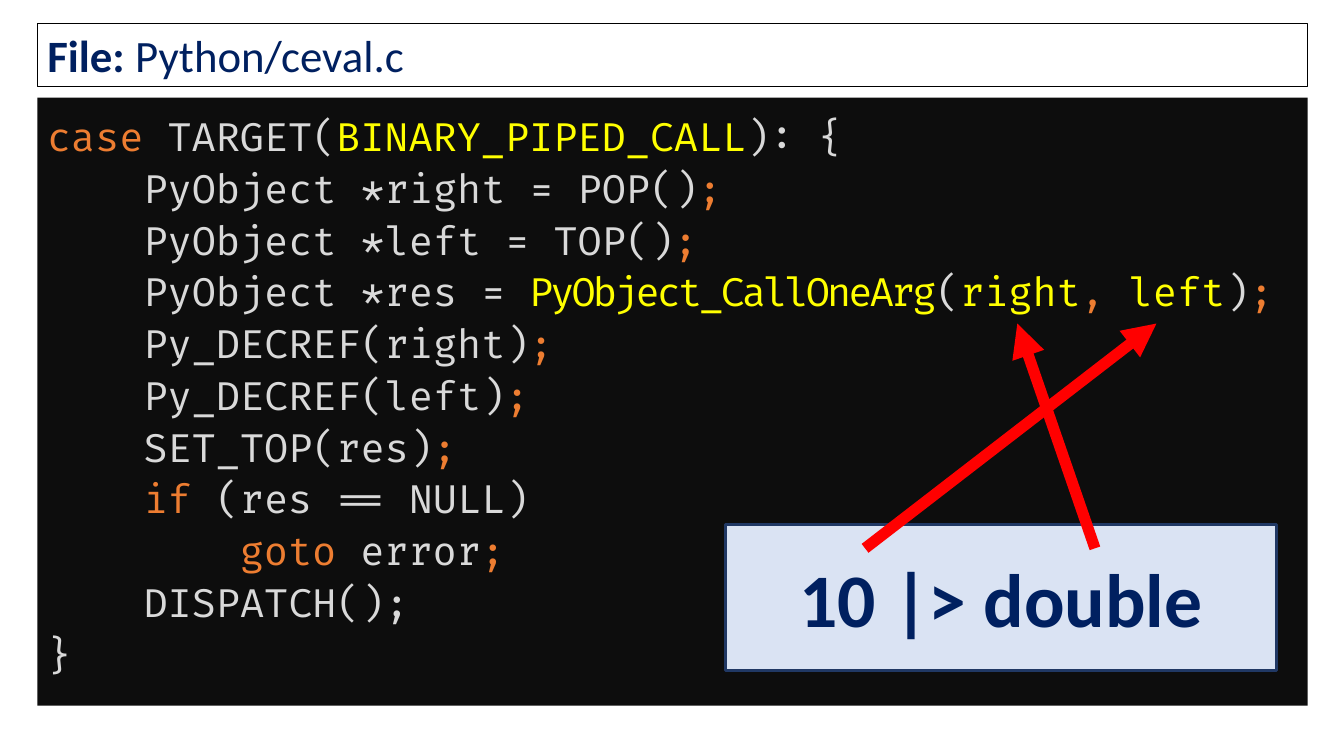
import pptx
import pptx.util
import pptx.dml.color
import pptx.enum.shapes
import pptx.enum.text
import pptx.oxml
import pptx.oxml.ns

Inches = pptx.util.Inches
Pt = pptx.util.Pt
PLAIN, KEYWORD, ACCENT = "D9D9D9", "ED7D31", "FFFF00"
NAVY = "002060"
CODE_LINES = [
    [("case ", KEYWORD), ("TARGET(", PLAIN), ("BINARY_PIPED_CALL", ACCENT), ("): {", PLAIN)],
    [("    PyObject *right = POP()", PLAIN), (";", KEYWORD)],
    [("    PyObject *left = TOP()", PLAIN), (";", KEYWORD)],
    [("    PyObject *res = ", PLAIN), ("PyObject_CallOneArg", ACCENT, -2), ("(", PLAIN),
     ("right", ACCENT), (", ", KEYWORD), ("left", ACCENT), (")", PLAIN), (";", KEYWORD)],
    [("    Py_DECREF(right)", PLAIN), (";", KEYWORD)],
    [("    Py_DECREF(left)", PLAIN), (";", KEYWORD)],
    [("    SET_TOP(res)", PLAIN), (";", KEYWORD)],
    [("    ", PLAIN), ("if", KEYWORD), (" (res == NULL)", PLAIN)],
    [("        ", PLAIN), ("goto", KEYWORD), (" error", PLAIN), (";", KEYWORD)],
    [("    DISPATCH();", PLAIN)],
    [("}", PLAIN)],
]


def color(hex_string):
    return pptx.dml.color.RGBColor.from_string(hex_string)


def add_run(paragraph, text, font_name, size, hex_string, bold=False, spacing=0):
    run = paragraph.add_run()
    run.text = text
    run.font.name = font_name
    run.font.size = Pt(size)
    run.font.bold = bold
    run.font.color.rgb = color(hex_string)
    if spacing:
        run.font._element.set("spc", str(spacing * 100))


def set_line(line, hex_string, width):
    line.color.rgb = color(hex_string)
    line.width = Pt(width)


def add_panel(slide, box, fill):
    panel = slide.shapes.add_shape(
        pptx.enum.shapes.MSO_SHAPE.RECTANGLE, *[Inches(length) for length in box])
    panel.shadow.inherit = False
    panel.fill.solid()
    panel.fill.fore_color.rgb = color(fill)
    panel.text_frame.word_wrap = True
    return panel


def add_file_title(slide, box):
    title = slide.shapes.title
    title.left, title.top, title.width, title.height = [Inches(length) for length in box]
    set_line(title.line, "000000", 0.75)
    frame = title.text_frame
    frame.auto_size = pptx.enum.text.MSO_AUTO_SIZE.NONE
    frame.vertical_anchor = pptx.enum.text.MSO_ANCHOR.MIDDLE
    paragraph = frame.paragraphs[0]
    paragraph.alignment = pptx.enum.text.PP_ALIGN.LEFT
    add_run(paragraph, "File: ", "Calibri", 32, NAVY, bold=True)
    add_run(paragraph, "Python/ceval.c", "Calibri", 32, NAVY)


def add_code(slide, box):
    panel = add_panel(slide, box, "0D0D0D")
    panel.line.fill.background()
    frame = panel.text_frame
    frame.vertical_anchor = pptx.enum.text.MSO_ANCHOR.TOP
    frame.margin_left = frame.margin_right = Inches(0.1)
    frame.margin_top = frame.margin_bottom = Inches(0.1)
    for index, code_line in enumerate(CODE_LINES):
        paragraph = frame.add_paragraph() if index else frame.paragraphs[0]
        paragraph.alignment = pptx.enum.text.PP_ALIGN.LEFT
        paragraph.line_spacing = 1.1
        for text, hex_string, *spacing in code_line:
            add_run(paragraph, text, "Fira Code", 28, hex_string, spacing=sum(spacing))


def add_arrow(slide, start, end):
    points = [Inches(length) for length in (*start, *end)]
    arrow = slide.shapes.add_connector(pptx.enum.shapes.MSO_CONNECTOR.STRAIGHT, *points)
    set_line(arrow.line, "FF0000", 8)
    tail = pptx.oxml.parse_xml(
        f'<a:tailEnd {pptx.oxml.ns.nsdecls("a")} type="triangle"/>')
    arrow.line._get_or_add_ln().append(tail)
    arrow._element.spPr.append(
        pptx.oxml.parse_xml(f'<a:effectLst {pptx.oxml.ns.nsdecls("a")}/>'))


def add_expression(slide, box):
    left, top, width, height = box
    panel = add_panel(slide, box, "DAE3F3")
    set_line(panel.line, "203864", 2.25)
    panel.text_frame.vertical_anchor = pptx.enum.text.MSO_ANCHOR.MIDDLE
    paragraph = panel.text_frame.paragraphs[0]
    paragraph.alignment = pptx.enum.text.PP_ALIGN.CENTER
    add_run(paragraph, "10 |> double", "Calibri", 54, NAVY, bold=True)
    for start_x, end_x in ((1.38, 4.27), (3.66, 2.89)):
        add_arrow(slide, (left + start_x, top + 0.24), (left + end_x, top - 1.99))


def main():
    presentation = pptx.Presentation()
    presentation.slide_width = Inches(13.33)
    presentation.slide_height = Inches(7.5)
    slide = presentation.slides.add_slide(presentation.slide_layouts.get_by_name("Title Only"))
    margin, content_width = 0.37, 12.6
    add_file_title(slide, (margin, 0.23, content_width, 0.63))
    add_code(slide, (margin, 0.97, content_width, 6.03))
    add_expression(slide, (7.2, 5.2, 5.46, 1.45))
    presentation.save("out.pptx")


if __name__ == "__main__":
    main()
